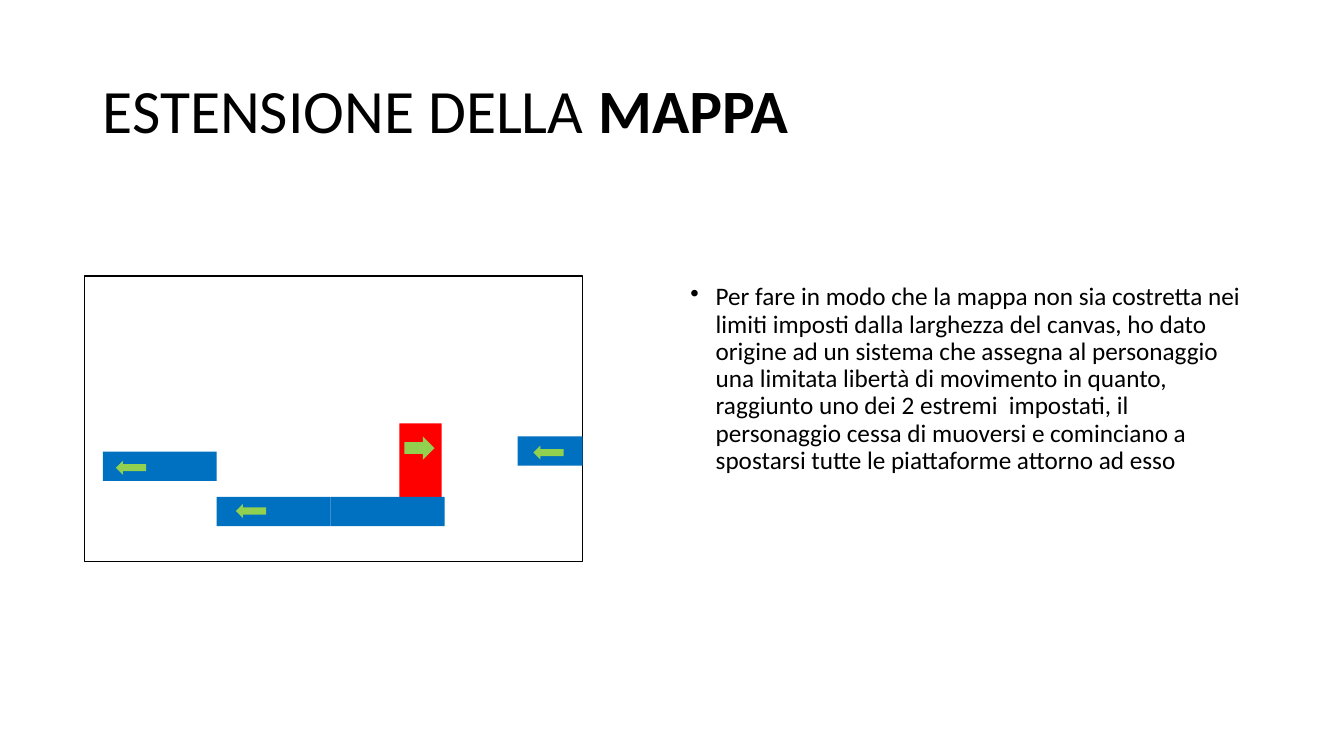
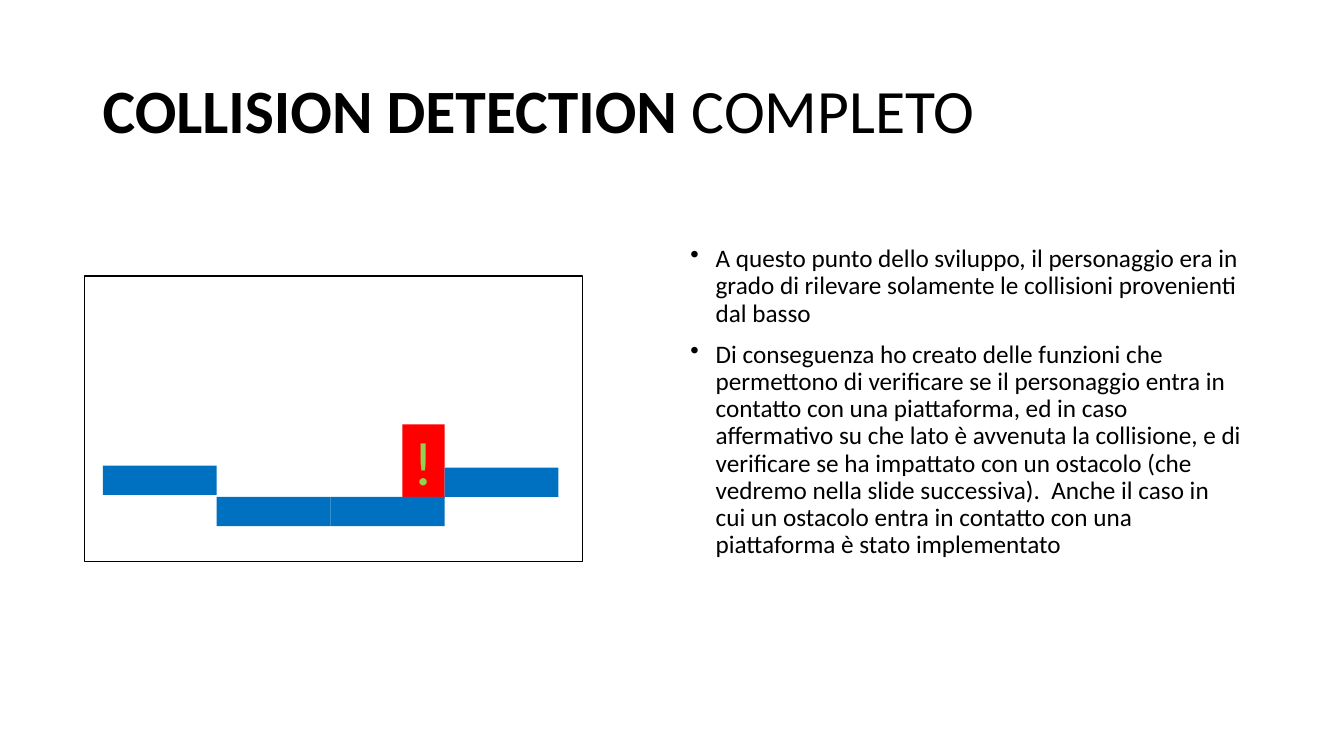
from lxml import etree
from pptx import Presentation
from pptx import util as u
from pptx.dml.color import RGBColor
from pptx.enum import shapes, text
from pptx.oxml.ns import qn

BLACK = RGBColor(0, 0, 0)
WHITE = RGBColor(255, 255, 255)
RED = RGBColor(255, 0, 0)
BLUE = RGBColor(0, 0x70, 0xC0)
GREEN = RGBColor(0x92, 0xD0, 0x50)
FONT = "Calibri"

RECTANGLE = shapes.MSO_SHAPE.RECTANGLE
RIGHT = shapes.MSO_SHAPE.RIGHT_ARROW
LEFT = shapes.MSO_SHAPE.LEFT_ARROW

# Game scene: platforms sit side by side on a grid of equal columns
CANVAS = (0.84, 2.74, 4.94, 2.83)
CANVAS_RIGHT = CANVAS[0] + CANVAS[2]
FIRST_COLUMN, PLATFORM_WIDTH, PLATFORM_HEIGHT = 1.02, 1.13, 0.29
FLOOR = 4.93
PLAYER_WIDTH, PLAYER_HEIGHT = 0.42, 0.73
ARROW_WIDTH = 0.3

# Platforms are (column, top); arrows are (shape, left, top, height)
SLIDES = [
    {
        "title": [("ESTENSIONE DELLA ", False), ("MAPPA", True)],
        "body_top": 2.77,
        "body": [
            "Per fare in modo che la mappa non sia costretta nei limiti imposti "
            "dalla larghezza del canvas, ho dato origine ad un sistema che assegna "
            "al personaggio una limitata libertà di movimento in quanto, raggiunto "
            "uno dei 2 estremi  impostati, il personaggio cessa di muoversi e "
            "cominciano a spostarsi tutte le piattaforme attorno ad esso",
        ],
        "player": (3.96, 4.2, ""),
        "platforms": [(0, 4.48), (1, FLOOR), (2, FLOOR), (3.64, 4.33)],
        "arrows": [(RIGHT, 4.01, 4.33, 0.23), (LEFT, 2.34, 5, 0.14),
                   (LEFT, 1.15, 4.57, 0.14), (LEFT, 5.29, 4.42, 0.14)],
    },
    {
        "title": [("COLLISION DETECTION ", True), ("COMPLETO", False)],
        "body_top": 2.39,
        "body": [
            "A questo punto dello sviluppo, il personaggio era in grado di rilevare "
            "solamente le collisioni provenienti dal basso",
            "Di conseguenza ho creato delle funzioni che permettono di verificare se "
            "il personaggio entra in contatto con una piattaforma, ed in caso "
            "affermativo su che lato è avvenuta la collisione, e di verificare se ha "
            "impattato con un ostacolo (che vedremo nella slide successiva).  Anche "
            "il caso in cui un ostacolo entra in contatto con una piattaforma è "
            "stato implementato",
        ],
        "player": (3.99, 4.21, "!"),
        "platforms": [(0, 4.62), (1, FLOOR), (2, FLOOR), (3, 4.64)],
        "arrows": [],
    },
]


def set_font(font, size, color):
    font.name, font.size, font.color.rgb = FONT, u.Pt(size), color


def add_text_box(page, left, top, width, height):
    box = page.shapes.add_textbox(*map(u.Inches, (left, top, width, height)))
    box.text_frame.word_wrap = True
    return box.text_frame


def add_title(page, spans):
    frame = add_text_box(page, 0.92, 0.4, 11.5, 1.45)
    frame.vertical_anchor = text.MSO_ANCHOR.MIDDLE
    para = frame.paragraphs[0]
    para.line_spacing = 0.9
    set_font(para.font, 44, BLACK)
    for words, bold in spans:
        span = para.add_run()
        span.text, span.font.bold = words, bold


def add_body(page, top, items):
    frame = add_text_box(page, 6.75, top, 5.67, 4.76)
    for index, item in enumerate(items):
        para = frame.add_paragraph() if index else frame.paragraphs[0]
        para.text = item
        para.line_spacing, para.space_before = 0.9, u.Pt(10)
        set_font(para.font, 18, BLACK)
        # Hanging bullet
        props = para._p.get_or_add_pPr()
        props.set("marL", str(u.Inches(0.25)))
        props.set("indent", str(u.Inches(-0.25)))
        bullet = etree.Element(qn("a:buChar"), char="•")
        props.find(qn("a:defRPr")).addprevious(bullet)


def add_block(page, kind, left, top, width, height, fill, line=None):
    block = page.shapes.add_shape(kind, *map(u.Inches, (left, top, width, height)))
    block.shadow.inherit = False
    block.fill.solid()
    block.fill.fore_color.rgb = fill
    if line is None:
        block.line.fill.background()
    else:
        block.line.color.rgb, block.line.width = line, u.Pt(1)
    return block


def add_scene(page, player, platforms, arrows):
    add_block(page, RECTANGLE, *CANVAS, WHITE, BLACK)

    # Player, with an optional alert mark
    left, top, mark = player
    block = add_block(page, RECTANGLE, left, top, PLAYER_WIDTH, PLAYER_HEIGHT, RED)
    if mark:
        block.text_frame.vertical_anchor = text.MSO_ANCHOR.MIDDLE
        para = block.text_frame.paragraphs[0]
        para.text, para.alignment = mark, text.PP_ALIGN.CENTER
        set_font(para.font, 44, GREEN)

    # Platforms, cut off at the canvas edge
    for column, top in platforms:
        left = FIRST_COLUMN + column * PLATFORM_WIDTH
        width = min(PLATFORM_WIDTH, CANVAS_RIGHT - left)
        add_block(page, RECTANGLE, left, top, width, PLATFORM_HEIGHT, BLUE)

    # Directions of movement
    for kind, left, top, height in arrows:
        add_block(page, kind, left, top, ARROW_WIDTH, height, GREEN)


def main():
    deck = Presentation()
    deck.slide_width, deck.slide_height = u.Inches(13.33), u.Inches(7.5)
    for content in SLIDES:
        page = deck.slides.add_slide(deck.slide_layouts[6])
        add_title(page, content["title"])
        add_body(page, content["body_top"], content["body"])
        add_scene(page, content["player"], content["platforms"], content["arrows"])
    deck.save("out.pptx")


if __name__ == "__main__":
    main()
